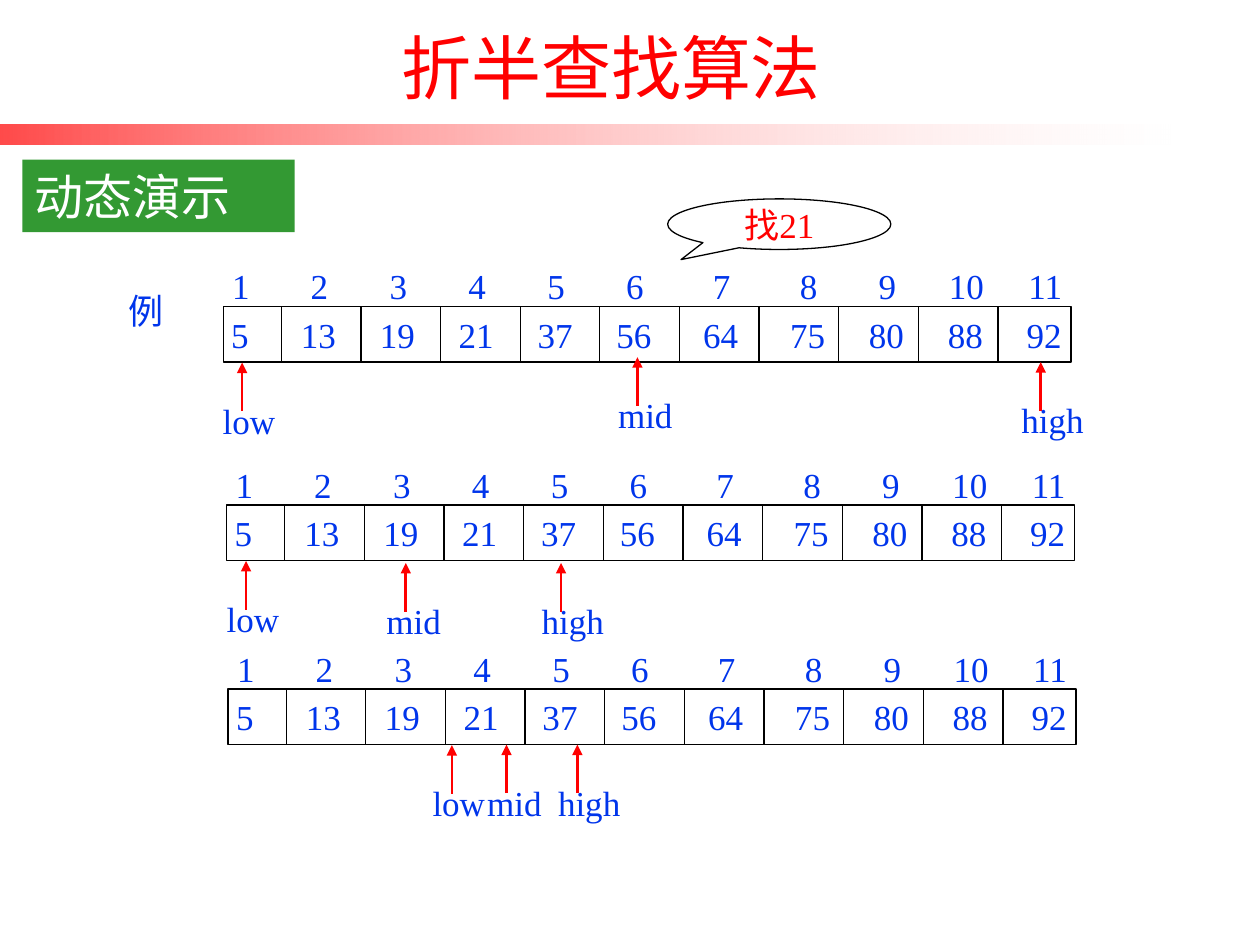
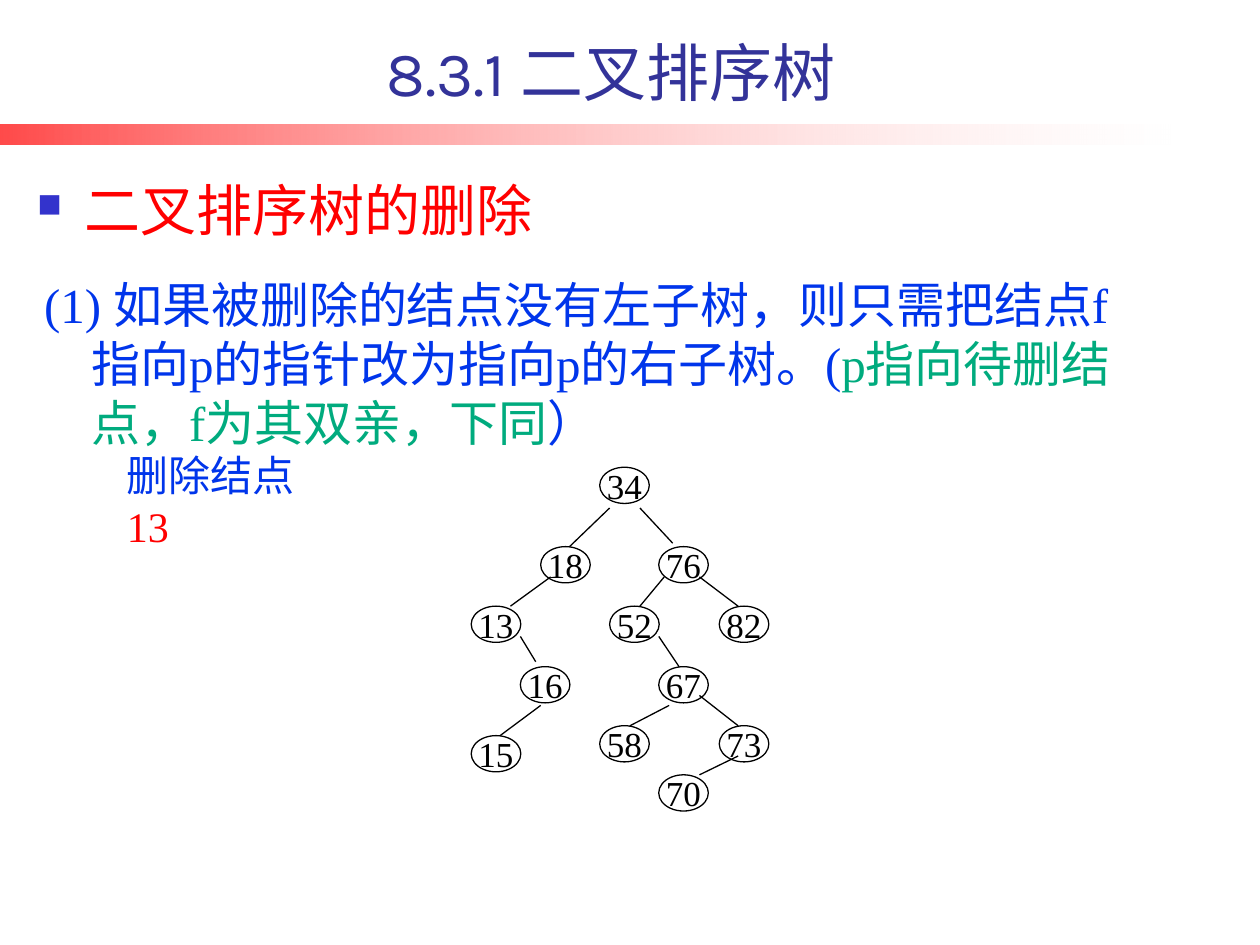
"""Builds two slides: a binary search trace and a binary search tree."""
from lxml.etree import SubElement
from pptx import Presentation
from pptx.dml.color import RGBColor
from pptx.enum.shapes import MSO_CONNECTOR, MSO_SHAPE
from pptx.enum.text import MSO_ANCHOR, PP_ALIGN
from pptx.oxml.ns import qn
from pptx.util import Cm, Pt

RED, BLUE, GREEN, BLACK, WHITE = "FF0000", "0035EB", "00AB7E", "000000", "FFFFFF"
LEAF, NAVY, DOT = "339933", "333399", "3333CC"
SERIF, SANS, HAN = "Times New Roman", "Karla", "Noto Sans CJK SC"
LEFT, MID = PP_ALIGN.LEFT, PP_ALIGN.CENTER

VALUES = [5, 13, 19, 21, 37, 56, 64, 75, 80, 88, 92]
ROWS = [
    (4.5, 6.18, [("low", 4.88, 7.31), ("high", 20.98, 7.3), ("mid", 12.85, 7.2)]),
    (4.57, 10.18, [("low", 4.96, 11.31), ("high", 11.31, 11.35), ("mid", 8.18, 11.35)]),
    (4.6, 13.89, [("low", 9.11, 15.02), ("high", 11.64, 15.01), ("mid", 10.21, 15.01)]),
]
NODES = {
    34: (12.09, 9.42), 76: (13.28, 11.02), 18: (10.9, 11.02), 52: (12.29, 12.22),
    82: (14.5, 12.22), 67: (13.28, 13.44), 58: (12.09, 14.63), 73: (14.5, 14.63),
    13: (9.5, 12.22), 70: (13.28, 15.62), 16: (10.49, 13.44), 15: (9.5, 14.83),
}
EDGES = [
    (12.9, 10.24, 13.56, 10.95), (12.29, 10.24, 11.48, 11.02),
    (13.39, 11.63, 12.9, 12.22), (14.1, 11.63, 14.88, 12.22),
    (13.28, 12.83, 13.69, 13.44), (13.49, 14.22, 12.7, 14.63),
    (14.1, 14.02, 14.88, 14.63), (10.49, 12.83, 10.8, 13.34),
    (11.1, 11.63, 10.29, 12.22), (14.88, 15.24, 14.1, 15.62),
    (10.9, 14.22, 10.08, 14.83),
]
RULE = [
    ("(1) 如果被删除的结点没有左子树，则只需把结点f指向p的指针改为指向p的右子树。(", BLUE),
    ("p指向待删结点，f为其双亲，下同", GREEN),
    ("）", BLUE),
]
TABS = [0.17 + 1.59 * n + 0.16 * ((n >= 6) + (n >= 7)) for n in range(1, 11)]


def rgb(code):
    return RGBColor.from_string(code)


def write(shape, runs, size, face=SERIF, align=LEFT, **frame):
    text = shape.text_frame
    for name, value in {"word_wrap": True, **frame}.items():
        setattr(text, name, value)
    para = text.paragraphs[0]
    para.alignment = align
    for words, color in runs:
        run = para.add_run()
        run.text = words
        for name, value in {"size": Pt(size), "name": face}.items():
            setattr(run.font, name, value)
        run.font.color.rgb = rgb(color)
        SubElement(run.font._element, qn("a:ea"), typeface=HAN)
    return para._p.get_or_add_pPr()


def box(slide, place, runs, size, **look):
    return write(slide.shapes.add_textbox(*map(Cm, place)), runs, size, **look)


def form(slide, kind, place, fill=None, line=BLACK):
    shape = slide.shapes.add_shape(kind, *map(Cm, place))
    shape.shadow.inherit = False
    if fill:
        shape.fill.solid()
        shape.fill.fore_color.rgb = rgb(fill)
    else:
        shape.fill.background()
    if line:
        shape.line.color.rgb = rgb(line)
        shape.line.width = Pt(0.75)
    else:
        shape.line.fill.background()
    return shape


def link(slide, ends, color=BLACK, width=0.75, arrow=False):
    wire = slide.shapes.add_connector(MSO_CONNECTOR.STRAIGHT, *map(Cm, ends))
    wire.line.color.rgb = rgb(color)
    wire.line.width = Pt(width)
    if arrow:
        SubElement(wire.line._get_or_add_ln(), qn("a:tailEnd"), type="triangle")
    SubElement(wire._element.spPr, qn("a:effectLst"))


def stops(props):
    tabs = SubElement(props, qn("a:tabLst"))
    for spot in TABS:
        SubElement(tabs, qn("a:tab"), pos=str(Cm(spot)), algn="ctr")


def hang(props):
    props.set("marL", str(Cm(0.95)))
    props.set("indent", str(Cm(-0.95)))


def start(deck, title, size, face, color):
    slide = deck.slides.add_slide(deck.slide_layouts[6])
    band = form(slide, MSO_SHAPE.RECTANGLE, (0, 2.52, 23.6, 0.4), line=None)
    band.fill.gradient()
    band.fill.gradient_angle = 0
    for stop, tint, spot in zip(band.fill.gradient_stops, (RED, WHITE), (0, 1)):
        stop.color.rgb = rgb(tint)
        stop.position = spot
    for mark, alpha in zip(band._element.iter(qn("a:srgbClr")), ("71000", "18000")):
        SubElement(mark, qn("a:alpha"), val=alpha)
    box(slide, (1.5, 0.52, 21.64, 1.8), [(title, color)], size, face=face,
        align=MID, vertical_anchor=MSO_ANCHOR.BOTTOM)
    return slide


def trace(slide, left, top, marks):
    heads = "\t".join(str(n + 1) for n in range(len(VALUES)))
    stops(box(slide, (left - 0.07, top - 0.97, 17.3, 1.1), [(heads, BLUE)], 20))
    frame = form(slide, MSO_SHAPE.RECTANGLE, (left, top, 17.09, 1.12))
    cells = "\t".join(map(str, VALUES))
    stops(write(frame, [(cells, BLUE)], 20, margin_left=Cm(0.16), margin_right=0,
                vertical_anchor=MSO_ANCHOR.MIDDLE))
    for n in range(len(VALUES) - 1):
        x = left + 1.17 + 14.45 / 9 * n
        link(slide, (x, top, x, top + 1.12))
    for word, x, tip in marks:
        link(slide, (x, tip + 0.98, x, tip), RED, 1.5, True)
        box(slide, (x - 0.64, tip + 0.61, 2, 1.1), [(word, BLUE)], 20)


def search(deck):
    slide = start(deck, "折半查找算法", 40, HAN, RED)
    label = form(slide, MSO_SHAPE.RECTANGLE, (0.45, 3.22, 5.49, 1.46), LEAF, None)
    write(label, [("动态演示", WHITE)], 28, face=SANS, vertical_anchor=MSO_ANCHOR.MIDDLE)
    box(slide, (2.34, 5.72, 1.4, 1.12), [("例", BLUE)], 20, word_wrap=False)
    for row in ROWS:
        trace(slide, *row)
    call = form(slide, MSO_SHAPE.OVAL_CALLOUT, (13.46, 4.01, 4.5, 1.02))
    for n, value in enumerate((-0.44, 0.7)):
        call.adjustments[n] = value
    write(call, [("找21", RED)], 20, align=MID, word_wrap=False,
          vertical_anchor=MSO_ANCHOR.MIDDLE)


def tree(deck):
    slide = start(deck, "8.3.1 二叉排序树", 36, SANS, NAVY)
    head = box(slide, (0.5, 3.22, 21.64, 1.8), [("二叉排序树的删除", RED)], 32,
               face=HAN, vertical_anchor=MSO_ANCHOR.BOTTOM)
    hang(head)
    SubElement(SubElement(head, qn("a:buClr")), qn("a:srgbClr"), val=DOT)
    SubElement(head, qn("a:buSzPct"), val="60000")
    SubElement(head, qn("a:buChar"), char="■")
    hang(box(slide, (0.64, 5.41, 22.91, 3.1), RULE, 28))
    box(slide, (2.31, 8.94, 4.6, 1.27), [("删除结点", BLUE), ("13", RED)], 24)
    for edge in EDGES:
        link(slide, edge)
    for key, spot in NODES.items():
        node = form(slide, MSO_SHAPE.OVAL, (*spot, 1, 0.73))
        write(node, [(str(key), BLACK)], 20, align=MID, word_wrap=False,
              vertical_anchor=MSO_ANCHOR.MIDDLE)


def main():
    deck = Presentation()
    deck.slide_width, deck.slide_height = Cm(25.4), Cm(19.05)
    search(deck)
    tree(deck)
    deck.save("out.pptx")


if __name__ == "__main__":
    main()
